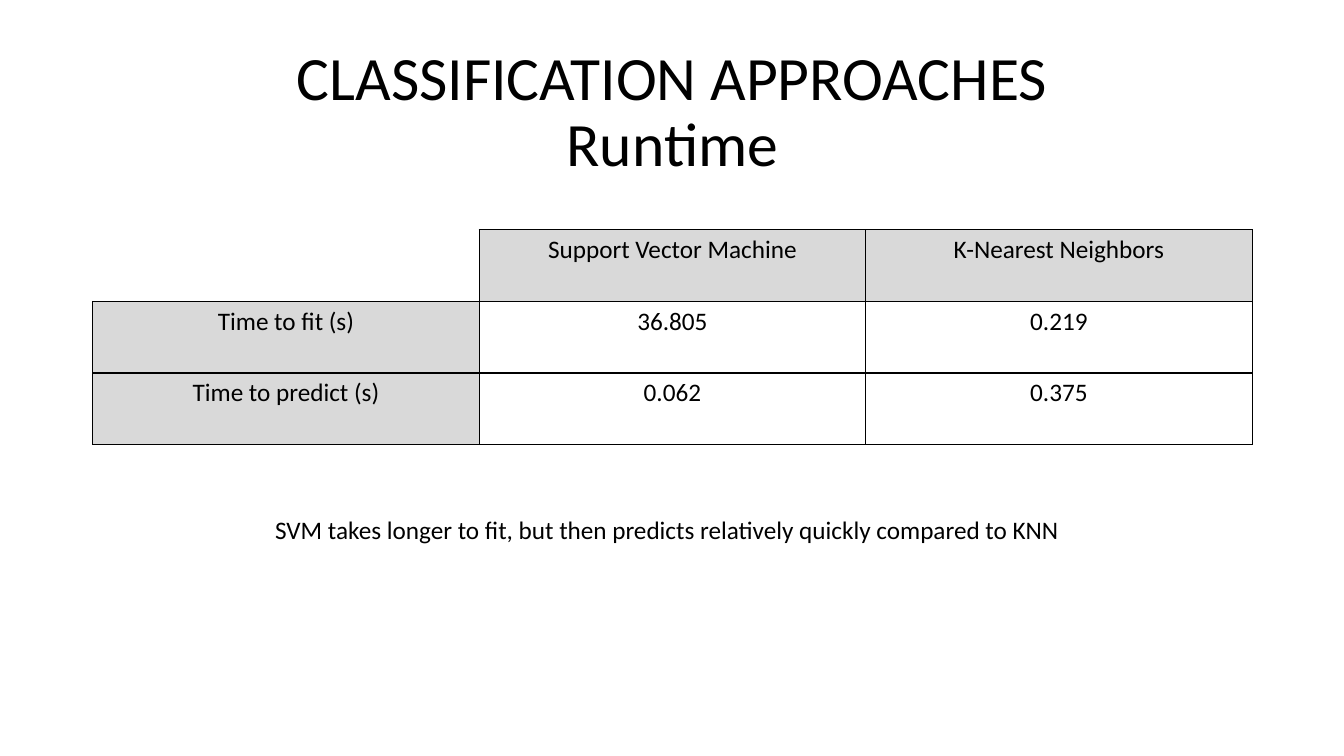
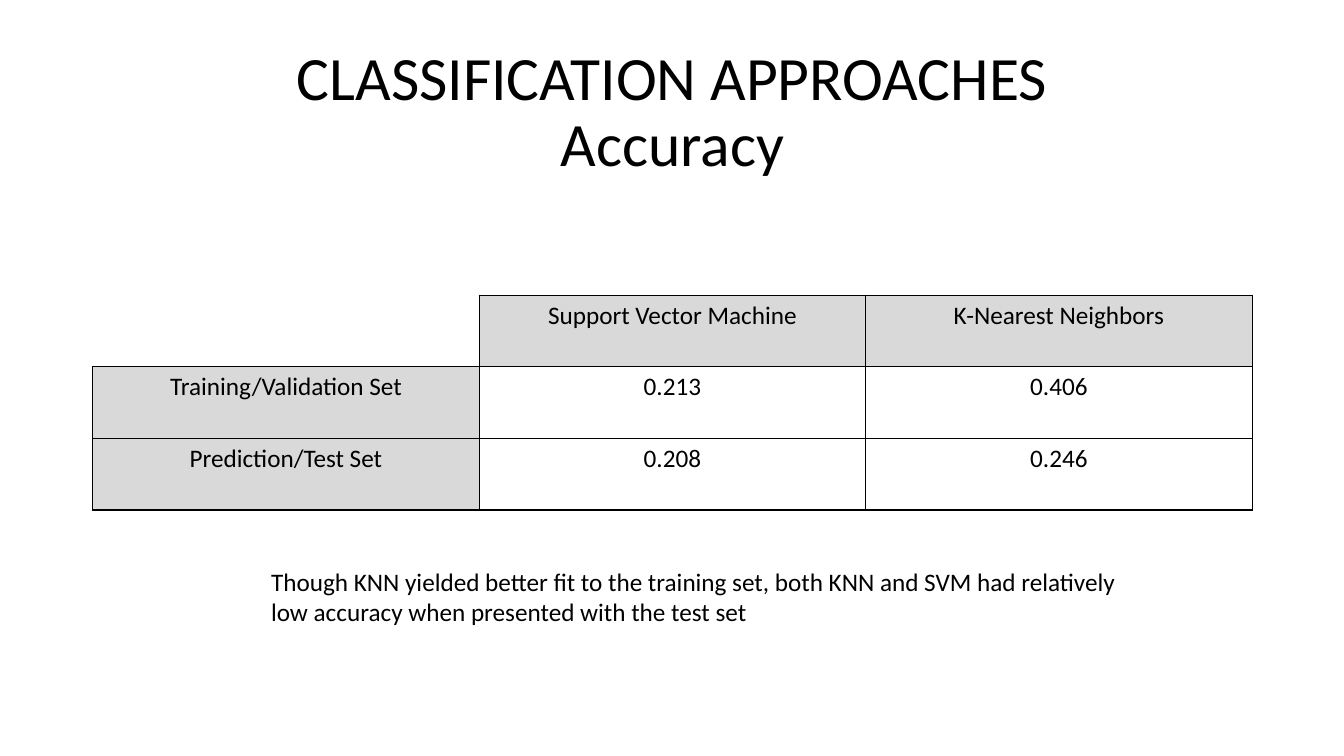
from dataclasses import dataclass

import pptx
import pptx.dml.color
import pptx.enum.text
import pptx.oxml.ns
import pptx.util
from lxml import etree
from pptx.util import Inches

ALIGN = pptx.enum.text.PP_ALIGN
ANCHOR = pptx.enum.text.MSO_ANCHOR
AUTO_SIZE = pptx.enum.text.MSO_AUTO_SIZE


@dataclass(frozen=True)
class Theme:
    font: str = "Calibri"
    ink: str = "000000"
    header_fill: str = "D9D9D9"
    cell_fill: str = "FFFFFF"
    title_size: int = 44
    body_size: int = 18
    border_width: int = 1


THEME = Theme()
HEADING = "CLASSIFICATION APPROACHES"
METHODS = ["", "Support Vector Machine", "K-Nearest Neighbors"]

SLIDES = [
    {
        "topic": "Runtime",
        "results": [
            ["Time to fit (s)", "36.805", "0.219"],
            ["Time to predict (s)", "0.062", "0.375"],
        ],
        "table_top": 2.28,
        "finding": "SVM takes longer to fit, but then predicts relatively "
                   "quickly compared to KNN",
        "finding_box": (2.63, 5.05, 8.07, 0.4),
        "wrap": False,
    },
    {
        "topic": "Accuracy",
        "results": [
            ["Training/Validation Set", "0.213", "0.406"],
            ["Prediction/Test Set", "0.208", "0.246"],
        ],
        "table_top": 2.93,
        "finding": "Though KNN yielded better fit to the training set, both KNN "
                   "and SVM had relatively low accuracy when presented with the test set",
        "finding_box": (2.59, 5.57, 8.87, 0.71),
        "wrap": True,
    },
]

MARGIN, CONTENT_WIDTH = 0.92, 11.5
TITLE_BOX = (MARGIN, 0.4, CONTENT_WIDTH, 1.45)
ROW_HEIGHT = 0.71


def rgb(value):
    return pptx.dml.color.RGBColor.from_string(value)


def write(paragraph, text, size, align):
    paragraph.text = text
    paragraph.alignment = align
    for font in [paragraph.font] + [run.font for run in paragraph.runs]:
        font.name = THEME.font
        font.size = pptx.util.Pt(size)
        font.color.rgb = rgb(THEME.ink)


def add_text(slide, box, text, size, align, wrap=True):
    frame = slide.shapes.add_textbox(*map(Inches, box)).text_frame
    frame.word_wrap = wrap
    write(frame.paragraphs[0], text, size, align)
    return frame


def set_borders(cell, visible):
    """Draw the sides named in visible (letters of LRTB) and clear the others."""
    qn = pptx.oxml.ns.qn
    properties = cell._tc.get_or_add_tcPr()
    for side in "LRTB":
        line = etree.SubElement(properties, qn(f"a:ln{side}"))
        if side in visible:
            line.set("w", str(pptx.util.Pt(THEME.border_width)))
            fill = etree.SubElement(line, qn("a:solidFill"))
            etree.SubElement(fill, qn("a:srgbClr"), val=THEME.ink)
        else:
            etree.SubElement(line, qn("a:noFill"))


def add_results(slide, top, rows):
    table = slide.shapes.add_table(
        len(rows), len(METHODS), Inches(MARGIN), Inches(top),
        Inches(CONTENT_WIDTH), Inches(ROW_HEIGHT * len(rows))).table
    table.first_row = table.horz_banding = False
    for r, row in enumerate(rows):
        for c, text in enumerate(row):
            cell = table.cell(r, c)
            corner = r == c == 0
            write(cell.text_frame.paragraphs[0], text, THEME.body_size, ALIGN.CENTER)
            set_borders(cell, "RB" if corner else "LRTB")
            if corner:
                cell.fill.background()
            else:
                is_header = r == 0 or c == 0
                cell.fill.solid()
                cell.fill.fore_color.rgb = rgb(
                    THEME.header_fill if is_header else THEME.cell_fill)


def add_comparison(deck, content):
    slide = deck.slides.add_slide(deck.slide_layouts[6])
    title = add_text(slide, TITLE_BOX, f"{HEADING}\n{content['topic']}",
                     THEME.title_size, ALIGN.CENTER)
    title.vertical_anchor = ANCHOR.MIDDLE
    title.paragraphs[0].line_spacing = 0.9
    add_results(slide, content["table_top"], [METHODS] + content["results"])
    finding = add_text(slide, content["finding_box"], content["finding"],
                       THEME.body_size, ALIGN.LEFT, content["wrap"])
    finding.auto_size = AUTO_SIZE.SHAPE_TO_FIT_TEXT


def main():
    deck = pptx.Presentation()
    deck.slide_width, deck.slide_height = Inches(13.33), Inches(7.5)
    for content in SLIDES:
        add_comparison(deck, content)
    deck.save("out.pptx")


if __name__ == "__main__":
    main()
